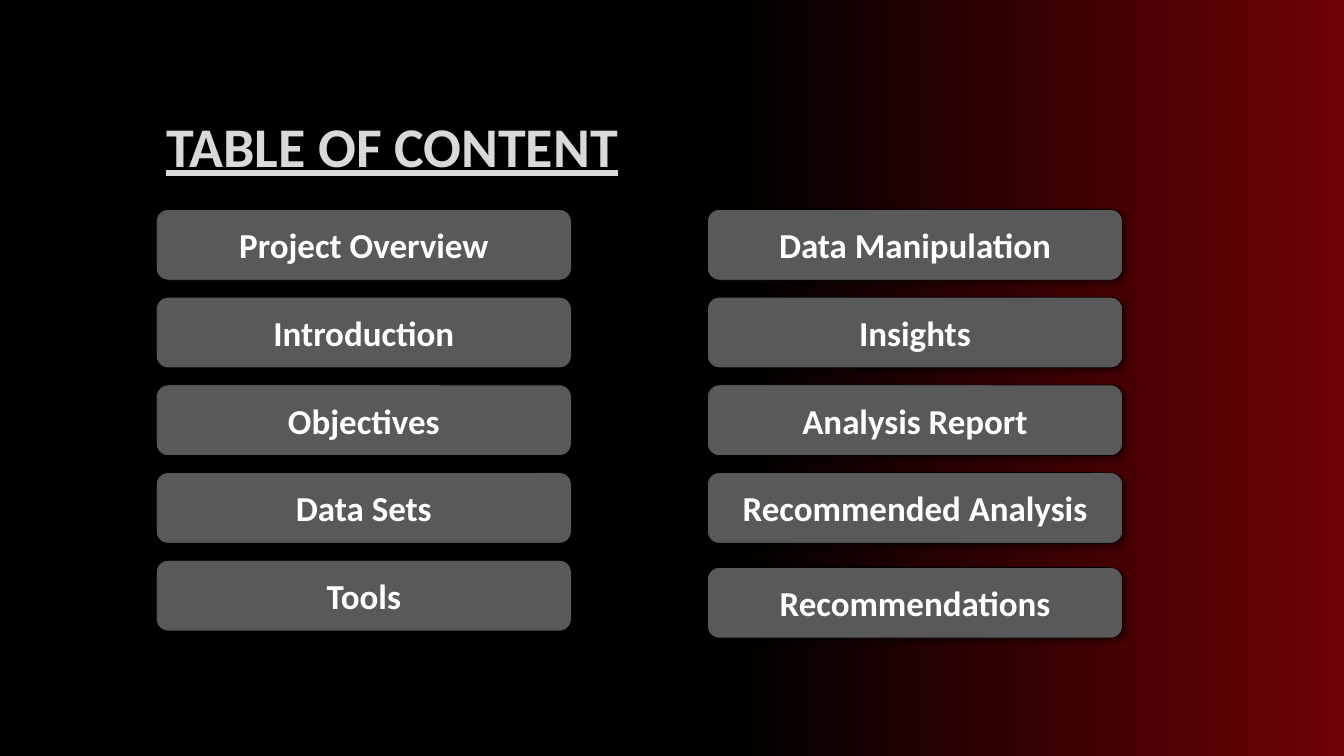
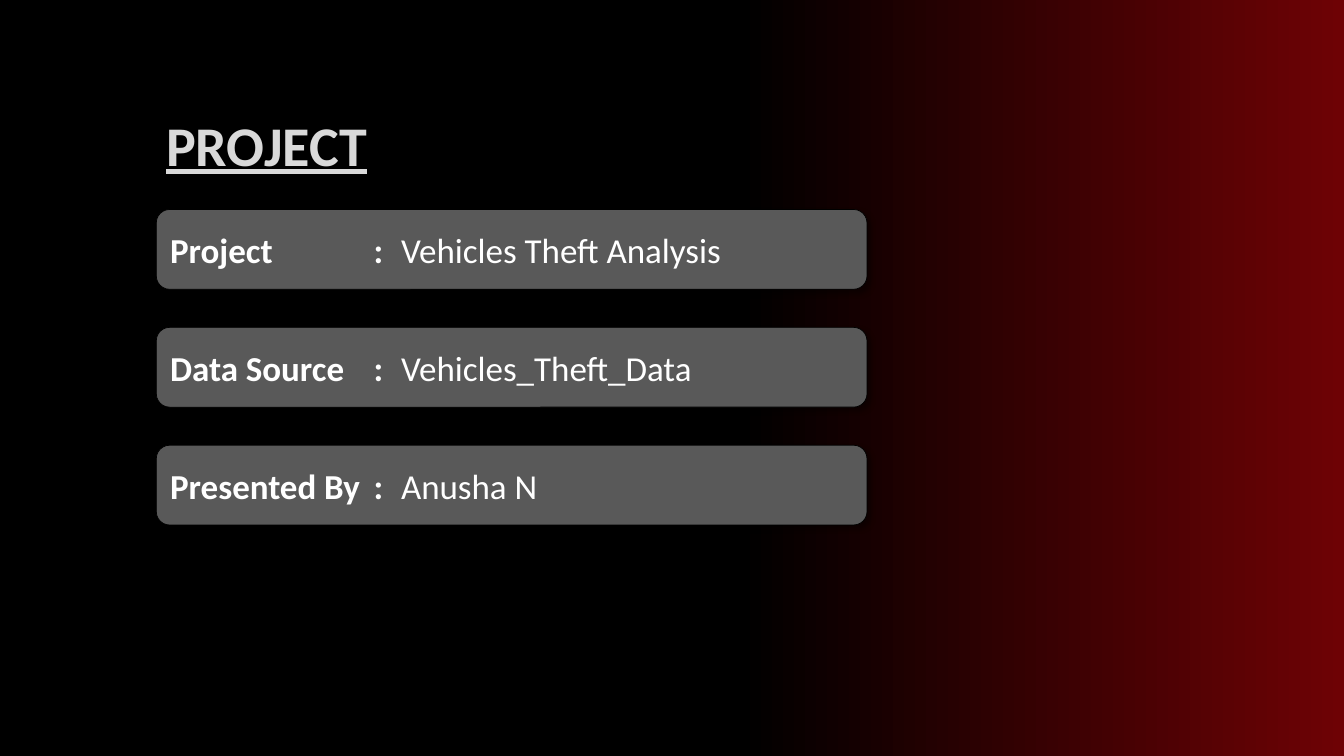
from copy import deepcopy
from dataclasses import dataclass

from lxml.etree import SubElement
from pptx import Presentation
from pptx.dml.color import RGBColor
from pptx.enum.shapes import MSO_SHAPE
from pptx.enum.text import MSO_ANCHOR, PP_ALIGN
from pptx.oxml.ns import qn
from pptx.shapes.autoshape import Shape
from pptx.slide import Slide
from pptx.text.text import _Paragraph as Paragraph
from pptx.util import Cm, Pt


@dataclass(frozen=True)
class Theme:
    font: str = "Calibri"
    title_size: int = 40
    bar_size: int = 25
    title: RGBColor = RGBColor(0xD9, 0xD9, 0xD9)
    text: RGBColor = RGBColor(0xFF, 0xFF, 0xFF)
    bar: RGBColor = RGBColor(0x59, 0x59, 0x59)
    dark: RGBColor = RGBColor(0x00, 0x00, 0x00)
    glow: RGBColor = RGBColor(0x6E, 0x02, 0x05)


@dataclass(frozen=True)
class Box:
    """A rectangle in centimetres."""
    left: float
    top: float
    width: float
    height: float

    def moved(self, right: float, down: float) -> "Box":
        return Box(self.left + right, self.top + down, self.width, self.height)

    def lengths(self) -> tuple[Cm, Cm, Cm, Cm]:
        return Cm(self.left), Cm(self.top), Cm(self.width), Cm(self.height)


@dataclass(frozen=True)
class Fact:
    label: str
    value: str


THEME = Theme()
MARGIN = 3.94
BARS_TOP = 5.28

TOPIC_BAR = Box(MARGIN, BARS_TOP, 10.46, 1.78)
TOPIC_COLUMN_STEP = 13.89
TOPIC_ROW_STEP = 2.21
LAST_TOPIC_DROP = 0.18
TOPIC_COLUMNS = (
    ("Project Overview", "Introduction", "Objectives", "Data Sets", "Tools"),
    ("Data Manipulation", "Insights", "Analysis Report",
     "Recommended Analysis", "Recommendations"),
)

FACT_BAR = Box(MARGIN, BARS_TOP, 17.91, 2.01)
FACT_ROW_STEP = 2.97
FACT_TABS = (5.13, 5.82)
FACTS = (
    Fact("Project", "Vehicles Theft Analysis"),
    Fact("Data Source", "Vehicles_Theft_Data"),
    Fact("Presented By", "Anusha N"),
)


def paint_background(deck: Presentation) -> None:
    """Give the master a black-to-red gradient that every page inherits."""
    master = deck.slide_master
    fill = master.background.fill
    fill.gradient()
    fill.gradient_angle = 0
    stop_list = master.element.find(".//" + qn("p:bg")).find(".//" + qn("a:gsLst"))
    stop_list.append(deepcopy(stop_list[-1]))
    colors = (THEME.dark, THEME.dark, THEME.glow)
    for stop, position, color in zip(fill.gradient_stops, (0, 0.55, 1), colors):
        stop.position = position
        stop.color.rgb = color


def add_span(para: Paragraph, text: str, size: int, color: RGBColor,
             bold: bool = True, underline: bool = False) -> None:
    span = para.add_run()
    span.text = text
    font = span.font
    font.name = THEME.font
    font.size = Pt(size)
    font.bold = bold
    font.underline = underline
    font.color.rgb = color


def add_title(page: Slide, text: str, top: float, height: float) -> None:
    box = page.shapes.add_textbox(*Box(MARGIN, top, 25.27, height).lengths())
    frame = box.text_frame
    frame.word_wrap = True
    frame.vertical_anchor = MSO_ANCHOR.MIDDLE
    para = frame.paragraphs[0]
    para.line_spacing = 0.9
    add_span(para, text, THEME.title_size, THEME.title, underline=True)


def add_shadow(shape: Shape) -> None:
    shape.shadow.inherit = False
    effects = shape.element.spPr.find(qn("a:effectLst"))
    shadow = SubElement(effects, qn("a:outerShdw"), blurRad=str(Pt(4)),
                        dist=str(Pt(3)), dir="2700000", algn="tl", rotWithShape="0")
    color = SubElement(shadow, qn("a:srgbClr"), val=str(THEME.dark))
    SubElement(color, qn("a:alpha"), val="40000")


def add_bar(page: Slide, box: Box, align: PP_ALIGN) -> Paragraph:
    """Draw a rounded bar and return its paragraph for filling."""
    bar = page.shapes.add_shape(MSO_SHAPE.ROUNDED_RECTANGLE, *box.lengths())
    bar.fill.solid()
    bar.fill.fore_color.rgb = THEME.bar
    bar.line.color.rgb = THEME.dark
    bar.line.width = Pt(0.5)
    add_shadow(bar)
    bar.text_frame.word_wrap = True
    bar.text_frame.vertical_anchor = MSO_ANCHOR.MIDDLE
    para = bar.text_frame.paragraphs[0]
    para.alignment = align
    return para


def set_tabs(para: Paragraph, positions: tuple[float, ...]) -> None:
    tabs = SubElement(para._p.get_or_add_pPr(), qn("a:tabLst"))
    for position in positions:
        SubElement(tabs, qn("a:tab"), pos=str(Cm(position)), algn="l")


def add_page(deck: Presentation) -> Slide:
    return deck.slides.add_slide(deck.slide_layouts[6])


def build_contents(deck: Presentation) -> None:
    page = add_page(deck)
    add_title(page, "TABLE OF CONTENT", 2.87, 1.78)
    for column, topics in enumerate(TOPIC_COLUMNS):
        for row, topic in enumerate(topics):
            drop = LAST_TOPIC_DROP if topic == TOPIC_COLUMNS[-1][-1] else 0
            box = TOPIC_BAR.moved(column * TOPIC_COLUMN_STEP,
                                  row * TOPIC_ROW_STEP + drop)
            para = add_bar(page, box, PP_ALIGN.CENTER)
            add_span(para, topic, THEME.bar_size, THEME.text)


def build_project(deck: Presentation) -> None:
    page = add_page(deck)
    add_title(page, "PROJECT", 2.97, 1.52)
    for row, fact in enumerate(FACTS):
        para = add_bar(page, FACT_BAR.moved(0, row * FACT_ROW_STEP), PP_ALIGN.LEFT)
        set_tabs(para, FACT_TABS)
        add_span(para, f"{fact.label}\t:\t", THEME.bar_size, THEME.text)
        add_span(para, fact.value, THEME.bar_size, THEME.text, bold=False)


def main() -> None:
    deck = Presentation()
    deck.slide_width, deck.slide_height = Cm(33.87), Cm(19.05)
    paint_background(deck)
    build_contents(deck)
    build_project(deck)
    deck.save("out.pptx")


if __name__ == "__main__":
    main()
